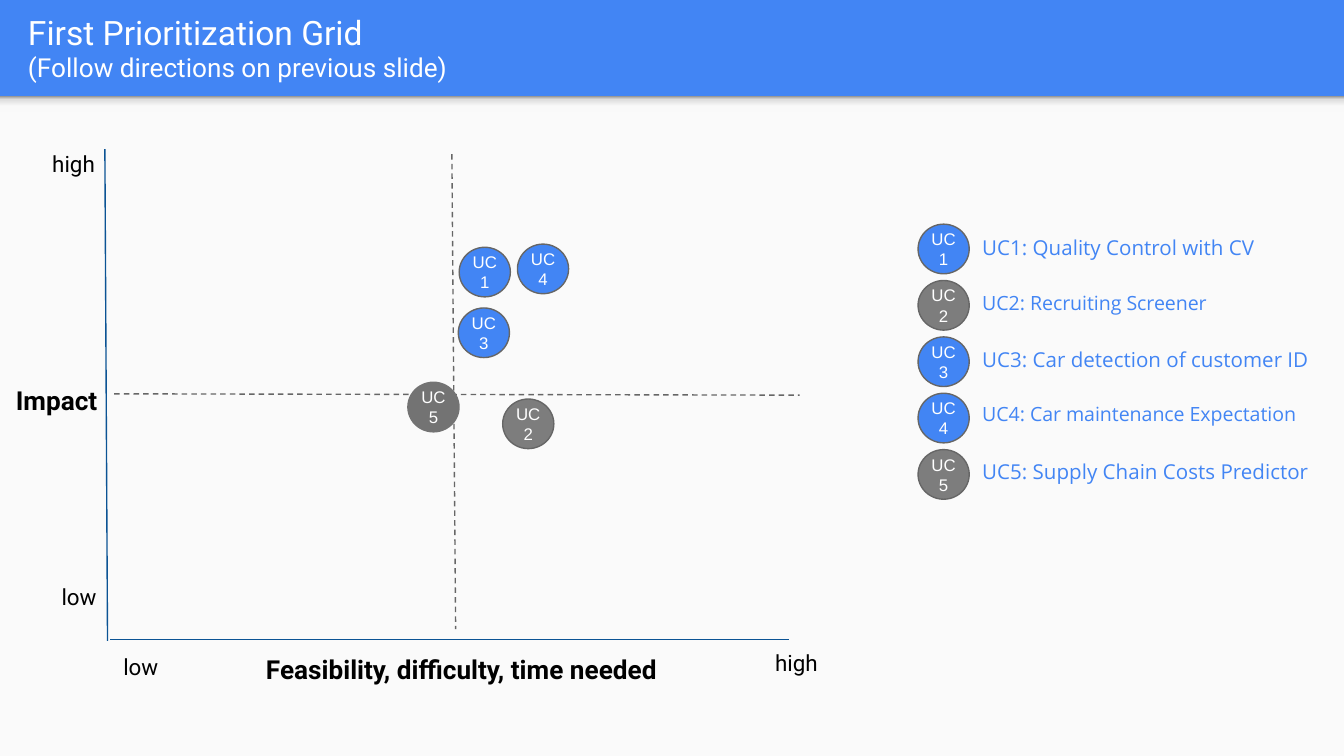
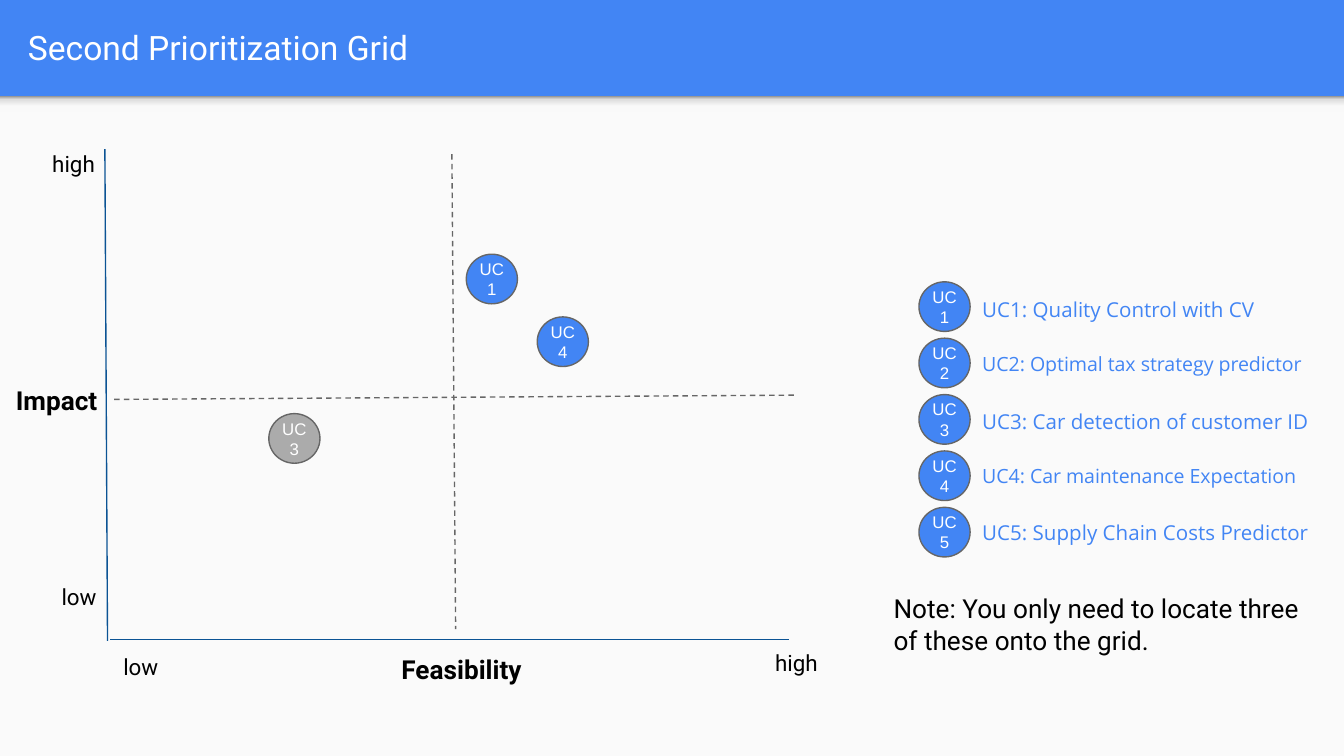
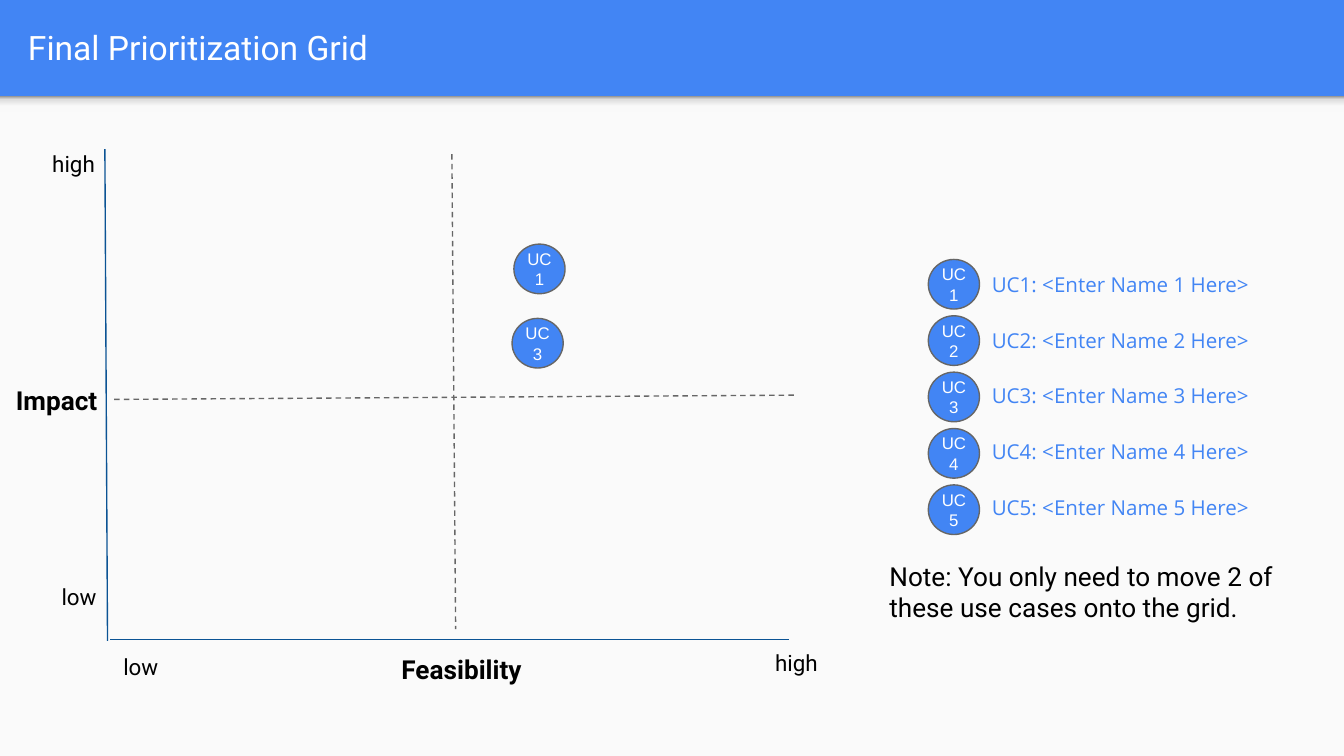
from lxml import etree
from pptx import Presentation
from pptx.dml.color import RGBColor
from pptx.enum.dml import MSO_LINE
from pptx.enum.shapes import MSO_CONNECTOR, MSO_SHAPE
from pptx.enum.text import MSO_ANCHOR, PP_ALIGN
from pptx.oxml.ns import qn
from pptx.util import Pt

RECT, OVAL = MSO_SHAPE.RECTANGLE, MSO_SHAPE.OVAL
STRAIGHT, DASH = MSO_CONNECTOR.STRAIGHT, MSO_LINE.DASH
LEFT, CENTER = PP_ALIGN.LEFT, PP_ALIGN.CENTER
TOP, MIDDLE = MSO_ANCHOR.TOP, MSO_ANCHOR.MIDDLE

BLUE = RGBColor(0x42, 0x85, 0xF4)
NAVY = RGBColor(0x0B, 0x53, 0x94)
PAPER = RGBColor(0xFA, 0xFA, 0xFA)
WHITE = RGBColor(0xFF, 0xFF, 0xFF)
BLACK = RGBColor(0x00, 0x00, 0x00)
OUTLINE = RGBColor(0x66, 0x66, 0x66)
GRAY = RGBColor(0x7D, 0x7D, 0x7D)
DARK_GRAY = RGBColor(0x73, 0x73, 0x73)
LIGHT_GRAY = RGBColor(0xAB, 0xAB, 0xAB)
BAND_SHADOW = [(0, "F9F9F9"), (36, "F9F9F9"), (80, "DEDEDE"), (100, "999999")]

SLIDE_W, SLIDE_H, BAND_H, SHADOW_H = 720, 405, 51.6, 8.6
BADGE_W, BADGE_H, BADGE_STEP = 27.4, 26.6, 30.2
NAME_W, NAME_H, NAME_STEP = 195.8, 32.4, 29.9
INSET = 7.2

TITLE = {"name": "Roboto", "size": Pt(18), "color": WHITE}
SUBTITLE = {**TITLE, "size": Pt(14)}
AXIS = {"name": "Roboto", "size": Pt(14), "color": BLACK, "bold": True}
SCALE = {"name": "Roboto", "size": Pt(12), "color": BLACK}
NOTE = {"name": "Roboto", "size": Pt(14), "color": BLACK}
BADGE = {"name": "Arial", "size": Pt(9), "color": WHITE}
NAME = {"name": "Open Sans", "color": BLUE}

SCALE_MARKS = [
    ("high", (20.9, 75.6, 59, 12.2)),
    ("low", (59, 342.7, 48.2, 17.3)),
    ("low", (25.9, 305.3, 48.2, 17.3)),
    ("high", (408.2, 342.7, 59, 12.2)),
]
AXIS_LINES = [(56.2, 79.9, 57.6, 343.4), (422.6, 342.5, 59, 342.5)]
VERTICAL_SPLIT = (242.1, 82.6, 244.1, 337)

GRIDS = [
    {
        "title": [("First Prioritization Grid", TITLE),
                  ("(Follow directions on previous slide)", SUBTITLE)],
        "feasibility": "Feasibility, difficulty, time needed",
        "split": (61.2, 211, 428.4, 211.7),
        "badges_at": (491.8, 120.1),
        "names_at": (519.1, 119.5),
        "legend": [("Quality Control with CV", 11, BLUE),
                   ("Recruiting Screener", 10.5, GRAY),
                   ("Car detection of customer ID", 11, BLUE),
                   ("Car maintenance Expectation", 10.5, BLUE),
                   ("Supply Chain Costs Predictor", 11, GRAY)],
        "placed": [(1, 246, 132.5, BLUE, OUTLINE), (2, 269.3, 213.8, GRAY, OUTLINE),
                   (3, 245.5, 165, BLUE, OUTLINE), (4, 277.2, 130.8, BLUE, OUTLINE),
                   (5, 218.5, 204.8, DARK_GRAY, DARK_GRAY)],
        "note": None,
    },
    {
        "title": [("Second Prioritization Grid", TITLE)],
        "feasibility": "Feasibility",
        "split": (61.2, 214, 425.5, 211.7),
        "badges_at": (492.3, 151),
        "names_at": (519.1, 152.4),
        "legend": [("Quality Control with CV", 11, BLUE),
                   ("Optimal tax strategy predictor", 10.5, BLUE),
                   ("Car detection of customer ID", 11, BLUE),
                   ("Car maintenance Expectation", 10.5, BLUE),
                   ("Supply Chain Costs Predictor", 11, BLUE)],
        "placed": [(1, 249.8, 136.2, BLUE, OUTLINE), (4, 287.8, 169.8, BLUE, OUTLINE),
                   (3, 144, 221.6, LIGHT_GRAY, OUTLINE)],
        "note": ("Note: You only need to locate three of these onto the grid.",
                 (471.6, 310.3, 234, 63.4)),
    },
    {
        "title": [("Final Prioritization Grid", TITLE)],
        "feasibility": "Feasibility",
        "split": (61.2, 214, 425.5, 211.7),
        "badges_at": (497.3, 139),
        "names_at": (524.2, 139),
        "legend": [(f"<Enter Name {n} Here>", 11, BLUE) for n in range(1, 6)],
        "placed": [(1, 275.3, 130.8, BLUE, OUTLINE), (3, 274.3, 170.6, BLUE, OUTLINE)],
        "note": ("Note: You only need to move 2 of these use cases onto the grid.",
                 (469.4, 293, 233.3, 86.4)),
    },
]


def points(values):
    return [Pt(v) for v in values]


def write(shape, lines, align=LEFT, anchor=TOP, inset=INSET):
    tf = shape.text_frame
    frame = {"word_wrap": True, "vertical_anchor": anchor}
    frame.update({f"margin_{side}": Pt(inset) for side in ("left", "top", "right", "bottom")})
    for key, value in frame.items():
        setattr(tf, key, value)
    for i, (text, style) in enumerate(lines):
        p = tf.add_paragraph() if i else tf.paragraphs[0]
        p.text, p.alignment = text, align
        for r in p.runs:
            for key, value in style.items():
                if key == "color":
                    r.font.color.rgb = value
                else:
                    setattr(r.font, key, value)


def add_text(s, box, lines, **layout):
    write(s.shapes.add_textbox(*points(box)), lines, **layout)


def add_shape(s, kind, box, fill, outline=None):
    sp = s.shapes.add_shape(kind, *points(box))
    sp.shadow.inherit = False
    sp.fill.solid()
    sp.fill.fore_color.rgb = fill
    if outline is None:
        sp.line.fill.background()
    else:
        sp.line.color.rgb, sp.line.width = outline, Pt(0.75)
    return sp


def add_line(s, ends, color, dash=None):
    line = s.shapes.add_connector(STRAIGHT, *points(ends))
    line.line.color.rgb, line.line.width = color, Pt(0.75)
    if dash:
        line.line.dash_style = dash
    etree.SubElement(line._element.spPr, qn("a:effectLst"))


def add_badge(s, number, x, y, fill, outline=OUTLINE):
    sp = add_shape(s, OVAL, (x, y, BADGE_W, BADGE_H), fill, outline)
    write(sp, [(f"UC\v{number}", BADGE)], align=CENTER, anchor=MIDDLE, inset=0)


def add_frame(s, title):
    s.background.fill.solid()
    s.background.fill.fore_color.rgb = BLUE
    add_shape(s, RECT, (0, BAND_H, SLIDE_W, SLIDE_H - BAND_H), PAPER)
    shade = add_shape(s, RECT, (0, BAND_H, SLIDE_W, SHADOW_H), PAPER)
    shade.fill.gradient()
    shade.fill.gradient_angle = 90
    stops = shade._element.spPr.find(".//" + qn("a:gsLst"))
    for stop in list(stops):
        stops.remove(stop)
    for position, color in BAND_SHADOW:
        stop = etree.SubElement(stops, qn("a:gs"), pos=str(position * 1000))
        etree.SubElement(stop, qn("a:srgbClr"), val=color)
    add_text(s, (7.9, 1.6, 694.8, 47.5), title, anchor=MIDDLE)


def add_legend(s, grid):
    badge_x, badge_y = grid["badges_at"]
    name_x, name_y = grid["names_at"]
    for i, (name, size, fill) in enumerate(grid["legend"]):
        add_badge(s, i + 1, badge_x, badge_y + i * BADGE_STEP, fill)
        add_text(s, (name_x, name_y + i * NAME_STEP, NAME_W, NAME_H),
                 [(f"UC{i + 1}: {name}", {**NAME, "size": Pt(size)})])


def add_axes(s, grid):
    for ends in (VERTICAL_SPLIT, grid["split"]):
        add_line(s, ends, OUTLINE, DASH)
    for ends in AXIS_LINES:
        add_line(s, ends, NAVY)
    add_text(s, (1.4, 198.7, 59.8, 32.4), [("Impact", AXIS)])
    add_text(s, (122.4, 342.7, 249.8, 32.4), [(grid["feasibility"], AXIS)], align=CENTER)
    for text, box in SCALE_MARKS:
        add_text(s, box, [(text, SCALE)])


def main():
    prs = Presentation()
    prs.slide_width, prs.slide_height = Pt(SLIDE_W), Pt(SLIDE_H)
    for grid in GRIDS:
        s = prs.slides.add_slide(prs.slide_layouts[6])
        add_frame(s, grid["title"])
        add_legend(s, grid)
        if grid["note"]:
            text, box = grid["note"]
            add_text(s, box, [(text, NOTE)])
        add_axes(s, grid)
        for badge in grid["placed"]:
            add_badge(s, *badge)
    prs.save("out.pptx")


if __name__ == "__main__":
    main()
